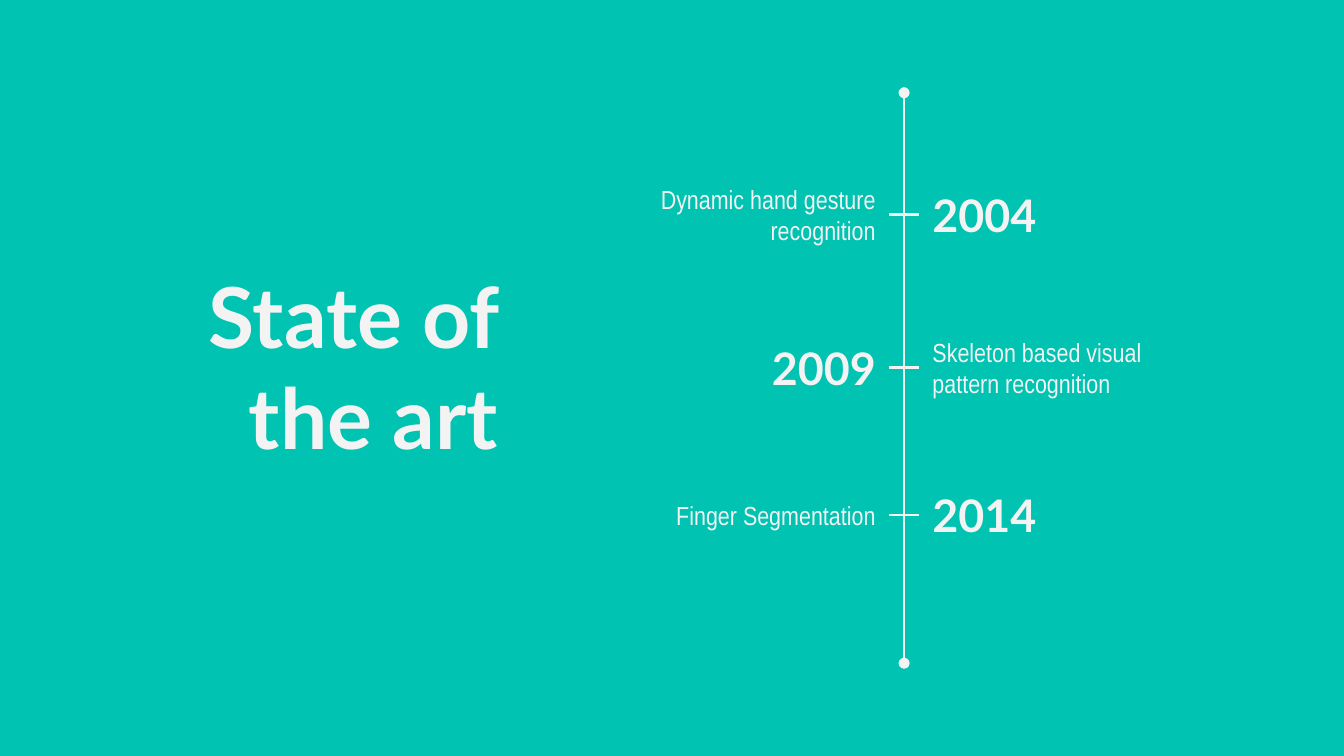
"""Build a slide with a title beside a vertical timeline of three milestones."""

from dataclasses import dataclass

from lxml.etree import SubElement
from pptx import Presentation
from pptx.dml.color import RGBColor
from pptx.enum.shapes import MSO_CONNECTOR
from pptx.enum.text import MSO_ANCHOR, MSO_AUTO_SIZE, PP_ALIGN
from pptx.oxml.ns import qn
from pptx.slide import Slide
from pptx.text.text import TextFrame
from pptx.util import Inches, Pt

COLORS = {"background": "00C3B1", "foreground": "F3F3F3"}
SLIDE_WIDTH = Inches(10)
SLIDE_HEIGHT = SLIDE_WIDTH * 9 // 16
CELL = Inches(0.1)
AXIS_COLUMN = 67.27
AXIS_ROWS = (6.9, 49.35)
TICK_COLUMNS = (66.15, 68.4)
LABEL_COLUMNS, LABEL_ROWS = 22.6, 6.9
FORMATS = {
    "title": {"name": "Lato", "size": Pt(45), "bold": True},
    "year": {"name": "Lato", "size": Pt(24), "bold": True},
    "detail": {"name": "Arial Narrow", "size": Pt(14), "bold": False},
}


@dataclass(frozen=True)
class Milestone:
    """A timeline entry; its row is the height of its tick."""

    year: str
    detail: str
    row: float
    year_on_right: bool


MILESTONES = (
    Milestone("2004", "Dynamic hand gesture recognition", 15.97, True),
    Milestone("2009", "Skeleton based visual pattern recognition", 27.35, False),
    Milestone("2014", "Finger Segmentation", 38.32, True),
)


def cells(count: float) -> int:
    """Convert a number of grid cells to a length."""
    return round(count * CELL)


def write_text(frame: TextFrame, text: str, style: str,
               alignment: PP_ALIGN, anchor: MSO_ANCHOR) -> None:
    """Fill a text frame with one formatted paragraph."""
    frame.text = text
    frame_format = {
        "word_wrap": True, "auto_size": MSO_AUTO_SIZE.NONE, "vertical_anchor": anchor,
        **{f"margin_{side}": CELL for side in ("left", "top", "right", "bottom")},
    }
    for attribute, value in frame_format.items():
        setattr(frame, attribute, value)
    paragraph = frame.paragraphs[0]
    paragraph.alignment = alignment
    font = paragraph.runs[0].font
    for attribute, value in FORMATS[style].items():
        setattr(font, attribute, value)
    font.color.rgb = RGBColor.from_string(COLORS["foreground"])


def add_title(slide: Slide, text: str) -> None:
    """Place the title in the left half of the slide."""
    title = slide.shapes.title
    position = {"left": 7.85, "top": 18.7, "width": 30.2, "height": 18.9}
    for attribute, value in position.items():
        setattr(title, attribute, cells(value))
    write_text(title.text_frame, text, "title", PP_ALIGN.RIGHT, MSO_ANCHOR.TOP)


def add_line(slide: Slide, start: tuple[float, float], end: tuple[float, float],
             round_ends: bool = False) -> None:
    """Draw a line between two grid points."""
    connector = slide.shapes.add_connector(
        MSO_CONNECTOR.STRAIGHT, *map(cells, (*start, *end)))
    connector.line.color.rgb = RGBColor.from_string(COLORS["foreground"])
    connector.line.width = Pt(1.5)
    if round_ends:
        outline = connector.line.fill._xPr
        for tag in ("a:headEnd", "a:tailEnd"):
            SubElement(outline, qn(tag), type="oval")
    SubElement(connector._element.spPr, qn("a:effectLst"))


def add_label(slide: Slide, text: str, style: str, row: float, on_right: bool) -> None:
    """Write a label beside the axis, centred on a row."""
    left = TICK_COLUMNS[1] if on_right else TICK_COLUMNS[0] - LABEL_COLUMNS
    label = slide.shapes.add_textbox(
        *map(cells, (left, row - LABEL_ROWS / 2, LABEL_COLUMNS, LABEL_ROWS)))
    alignment = PP_ALIGN.LEFT if on_right else PP_ALIGN.RIGHT
    write_text(label.text_frame, text, style, alignment, MSO_ANCHOR.MIDDLE)


def add_milestone(slide: Slide, milestone: Milestone) -> None:
    """Draw a tick with the year and its detail on opposite sides."""
    left, right = TICK_COLUMNS
    add_line(slide, (left, milestone.row), (right, milestone.row))
    add_label(slide, milestone.year, "year", milestone.row, milestone.year_on_right)
    add_label(slide, milestone.detail, "detail", milestone.row, not milestone.year_on_right)


def main() -> None:
    """Create and save the presentation."""
    presentation = Presentation()
    presentation.slide_width, presentation.slide_height = SLIDE_WIDTH, SLIDE_HEIGHT
    slide = presentation.slides.add_slide(presentation.slide_layouts.get_by_name("Title Only"))
    background = slide.background.fill
    background.solid()
    background.fore_color.rgb = RGBColor.from_string(COLORS["background"])
    add_title(slide, "State of the art")
    first_row, last_row = AXIS_ROWS
    add_line(slide, (AXIS_COLUMN, first_row), (AXIS_COLUMN, last_row), round_ends=True)
    for milestone in MILESTONES:
        add_milestone(slide, milestone)
    presentation.save("out.pptx")


if __name__ == "__main__":
    main()
